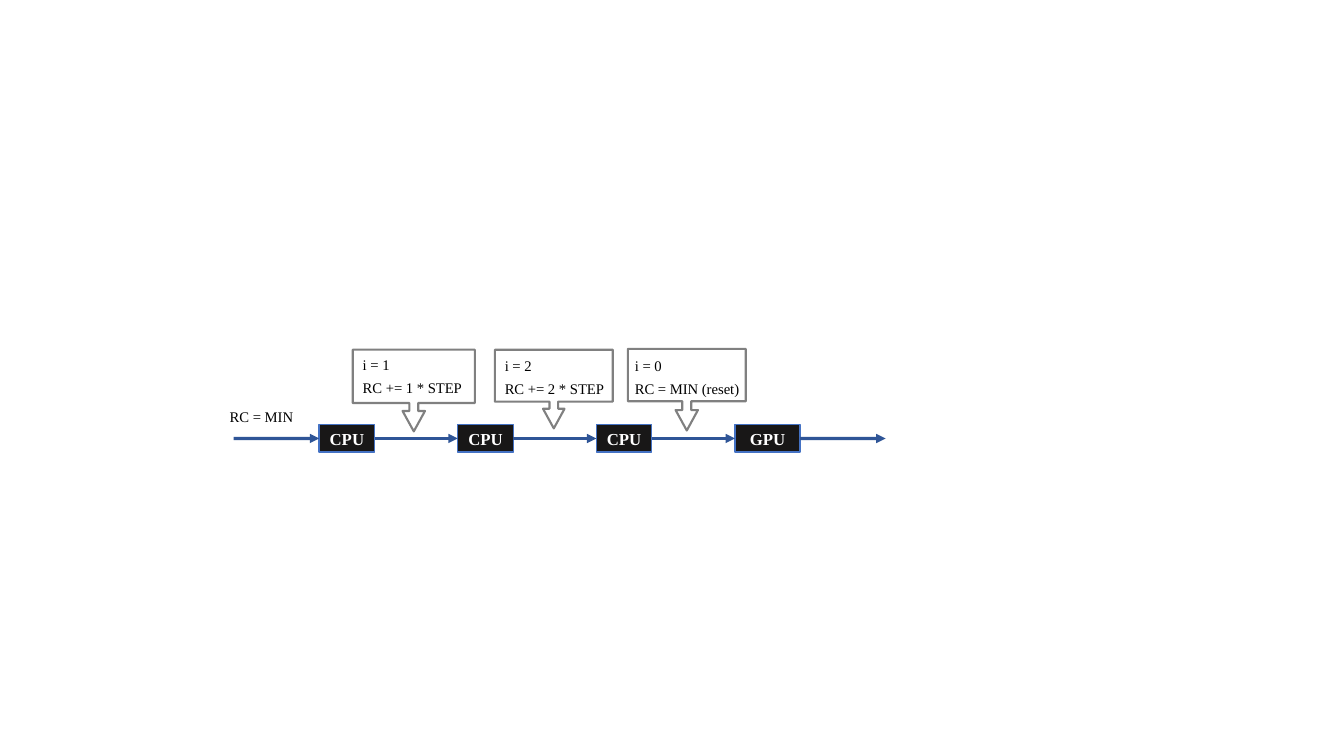
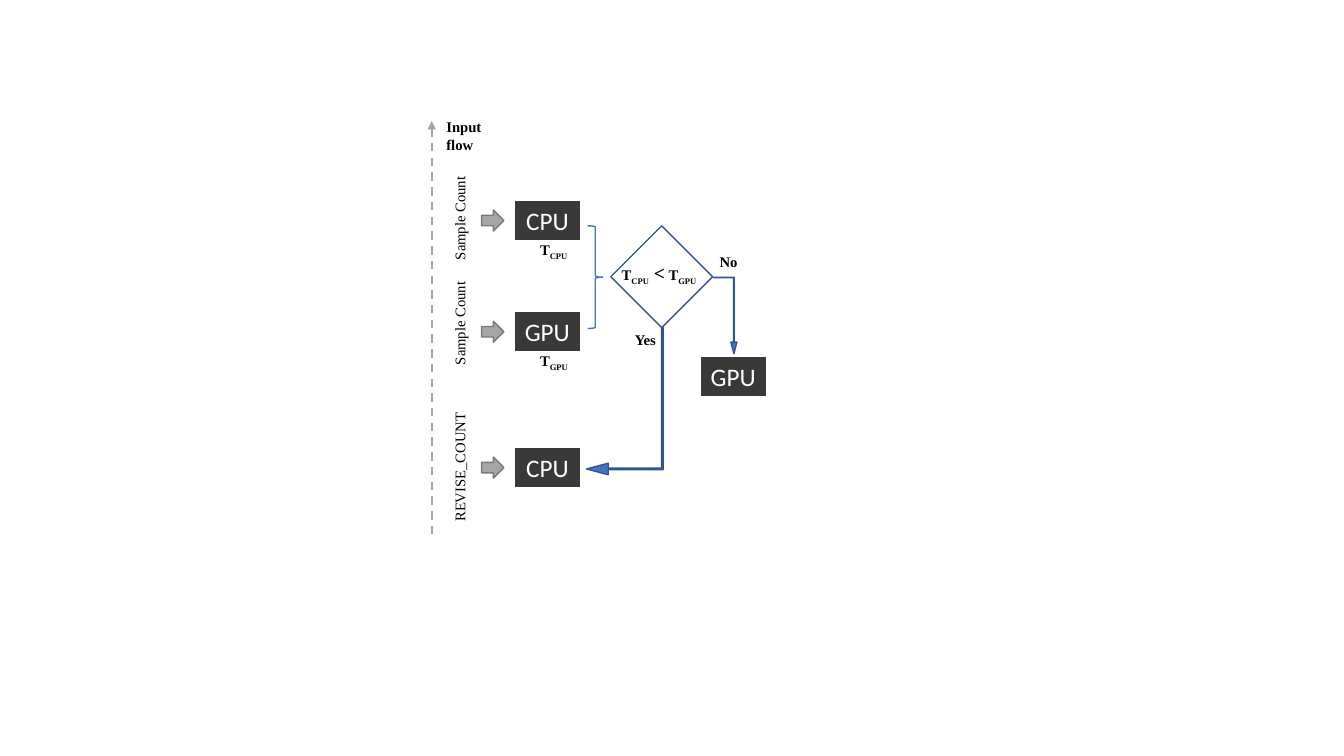
from dataclasses import dataclass

from lxml.etree import SubElement
from pptx import Presentation
from pptx.dml.color import RGBColor
from pptx.enum.dml import MSO_LINE as Dash
from pptx.enum.shapes import MSO_CONNECTOR as Link, MSO_SHAPE as Form
from pptx.enum.text import MSO_ANCHOR as Anchor, MSO_AUTO_SIZE as Fit, PP_ALIGN as Align
from pptx.oxml.ns import qn
from pptx.util import Pt


@dataclass(frozen=True)
class Theme:
    serif: str = "Times New Roman"
    sans: str = "Calibri"
    note: float = 10.5
    name: float = 12
    sign: float = 14
    unit: float = 18
    ink: str = "000000"
    white: str = "FFFFFF"
    black: str = "181717"
    coal: str = "3B3838"
    blue: str = "4472C4"
    navy: str = "2F5597"
    edge: str = "325490"
    gray: str = "A5A5A5"
    rim: str = "7A7A7A"
    frame: str = "808080"


T = Theme()


def rgb(code):
    return RGBColor.from_string(code)


def write(frame, lines, size=T.note, face=T.serif, color=T.ink, bold=False,
          align=Align.LEFT, space=None):
    """Fill a frame; a line is a string or a list of (text, size, sub) runs."""
    frame.word_wrap = True
    for i, line in enumerate(lines):
        para = frame.paragraphs[0] if i == 0 else frame.add_paragraph()
        para.alignment = align
        if space:
            para.line_spacing = space
        runs = [(line, size, False)] if isinstance(line, str) else line
        for text, points, sub in runs:
            run = para.add_run()
            run.text = text
            font = run.font
            font.name, font.size, font.bold = face, Pt(points), bold
            font.color.rgb = rgb(color)
            if sub:
                run._r.get_or_add_rPr().set("baseline", "-25000")


def note(slide, at, *lines, turn=0, **style):
    box = slide.shapes.add_textbox(*map(Pt, at))
    box.rotation = turn
    write(box.text_frame, lines, **style)
    box.text_frame.auto_size = Fit.SHAPE_TO_FIT_TEXT
    return box


def shape(slide, form, at, fill, line, width=1, adjust=(), turn=0, flip=False):
    item = slide.shapes.add_shape(form, *map(Pt, at))
    item.shadow.inherit = False
    if fill:
        item.fill.solid()
        item.fill.fore_color.rgb = rgb(fill)
    else:
        item.fill.background()
    item.line.color.rgb = rgb(line)
    item.line.width = Pt(width)
    for i, value in enumerate(adjust):
        item.adjustments[i] = value
    item.rotation = turn
    if flip:
        item._element.spPr.find(qn("a:xfrm")).set("flipH", "1")
    return item


def block(slide, at, text, fill, line, width=1, **style):
    """Draw a dark rectangle with a centred white name."""
    item = shape(slide, Form.RECTANGLE, at, fill, line, width)
    item.text_frame.vertical_anchor = Anchor.MIDDLE
    write(item.text_frame, [text], color=T.white, align=Align.CENTER, **style)
    return item


def arrow(slide, start, end, color, width, dash=None, source=None, target=None):
    """Draw an arrow, joined to source's right and target's left side if given."""
    wire = slide.shapes.add_connector(Link.STRAIGHT, *map(Pt, (*start, *end)))
    if source:
        wire.begin_connect(source, 3)
    if target:
        wire.end_connect(target, 1)
    wire.line.color.rgb = rgb(color)
    wire.line.width = Pt(width)
    if dash:
        wire.line.dash_style = dash
    SubElement(wire.line._get_or_add_ln(), qn("a:tailEnd"), type="triangle")
    SubElement(wire._element.spPr, qn("a:effectLst"))


def chain(slide):
    """Units in a row, with the counter's change on each step."""
    left, top, pitch, high, reach = 228, 303.4, 99, 19.6, 61.2
    mid = top + high / 2
    units = []
    for i, (name, wide) in enumerate([("CPU", 39.6)] * 3 + [("GPU", 46.4)]):
        at = (left + i * pitch, top, wide, high)
        units.append(block(slide, at, name, T.black, T.blue, size=T.name, bold=True))
    end = left + 3 * pitch + wide
    stops = [None, *units, None]
    for i, (source, target) in enumerate(zip(stops, stops[1:])):
        start = end if i == 4 else left - reach + i * pitch
        arrow(slide, (start, mid), (start + reach, mid), T.navy, 2.25,
              source=source, target=target)
    note(slide, (157, 288, 71, 19.4), "RC = MIN")

    steps = [
        ((252, 249.8, 87.2, 58.4), 0.652, (252, 247, 91), "i = 1", "RC += 1 * STEP"),
        ((353.5, 249.8, 84.2, 56.2), 0.66, (353.5, 247.7, 91), "i = 2", "RC += 2 * STEP"),
        ((448.5, 249.2, 84.2, 58.3), 0.642, (446.4, 247.7, 96), "i = 0", "RC = MIN (reset)"),
    ]
    for at, body, spot, *lines in steps:
        shape(slide, Form.DOWN_ARROW_CALLOUT, at, T.white, T.frame, 1.5,
              (0.109, 0.137, 0.25, body))
        note(slide, (*spot, 40), *lines, space=1.3)


def timed(name):
    """Give the runs of T with a subscript name."""
    return [("T", T.note, False), (name, T.note, True)]


def choice(slide):
    """Timed samples on both units decide where the rest goes."""
    def unit(x, y, name):
        block(slide, (x, y, 48, 29.5), name, T.coal, T.white, 1.5,
              size=T.unit, face=T.sans)

    arrow(slide, (308.4, 381.6), (308.4, 86.4), T.gray, 1.5, dash=Dash.DASH)
    note(slide, (311.8, 80.6, 41, 32.4), "Input flow", bold=True)

    rows = [
        (142.5, "CPU", "Sample Count", 75.6, 155, True),
        (222, "GPU", "Sample Count", 75.6, 230, True),
        (319, "CPU", "REVISE_COUNT", 99.4, 330, False),
    ]
    for y, name, load, wide, mid, clock in rows:
        unit(367, y, name)
        shape(slide, Form.RIGHT_ARROW, (344, y + 7.5, 16, 15), T.gray, T.rim)
        note(slide, (328 - wide / 2, mid - 9.7, wide, 19.4), load, turn=270)
        if clock:
            note(slide, (378.7, y + 26, 41, 21.6), timed(name), bold=True)

    shape(slide, Form.RIGHT_BRACE, (419.8, 161.3, 10.8, 73.4), None, T.blue,
          adjust=(0.083, 0.5))
    shape(slide, Form.DIAMOND, (436.3, 161.3, 72.8, 72.8), T.white, T.edge)
    test = [*timed("CPU"), (" <", T.sign, False), (" ", T.note, False), *timed("GPU")]
    note(slide, (437, 182.9, 72, 25), test, bold=True)

    turns = [
        ((393.8, 259.2, 105.1, 54.7), (0.02, 0.075, 0.283), 270),
        ((509.8, 198, 16.6, 54.7), (0.02, 0.129, 0.5), 180),
    ]
    for at, adjust, turn in turns:
        shape(slide, Form.BENT_UP_ARROW, at, T.blue, T.edge, adjust=adjust,
              turn=turn, flip=True)
    for x, y, word in [(446.4, 232.6, "Yes"), (506.9, 177.1, "No")]:
        note(slide, (x, y, 41, 19.4), word, bold=True)
    unit(499.7, 254.2, "GPU")


def main():
    deck = Presentation()
    deck.slide_width, deck.slide_height = Pt(960), Pt(540)
    for draw in (chain, choice):
        draw(deck.slides.add_slide(deck.slide_layouts[6]))
    deck.save("out.pptx")


if __name__ == "__main__":
    main()
